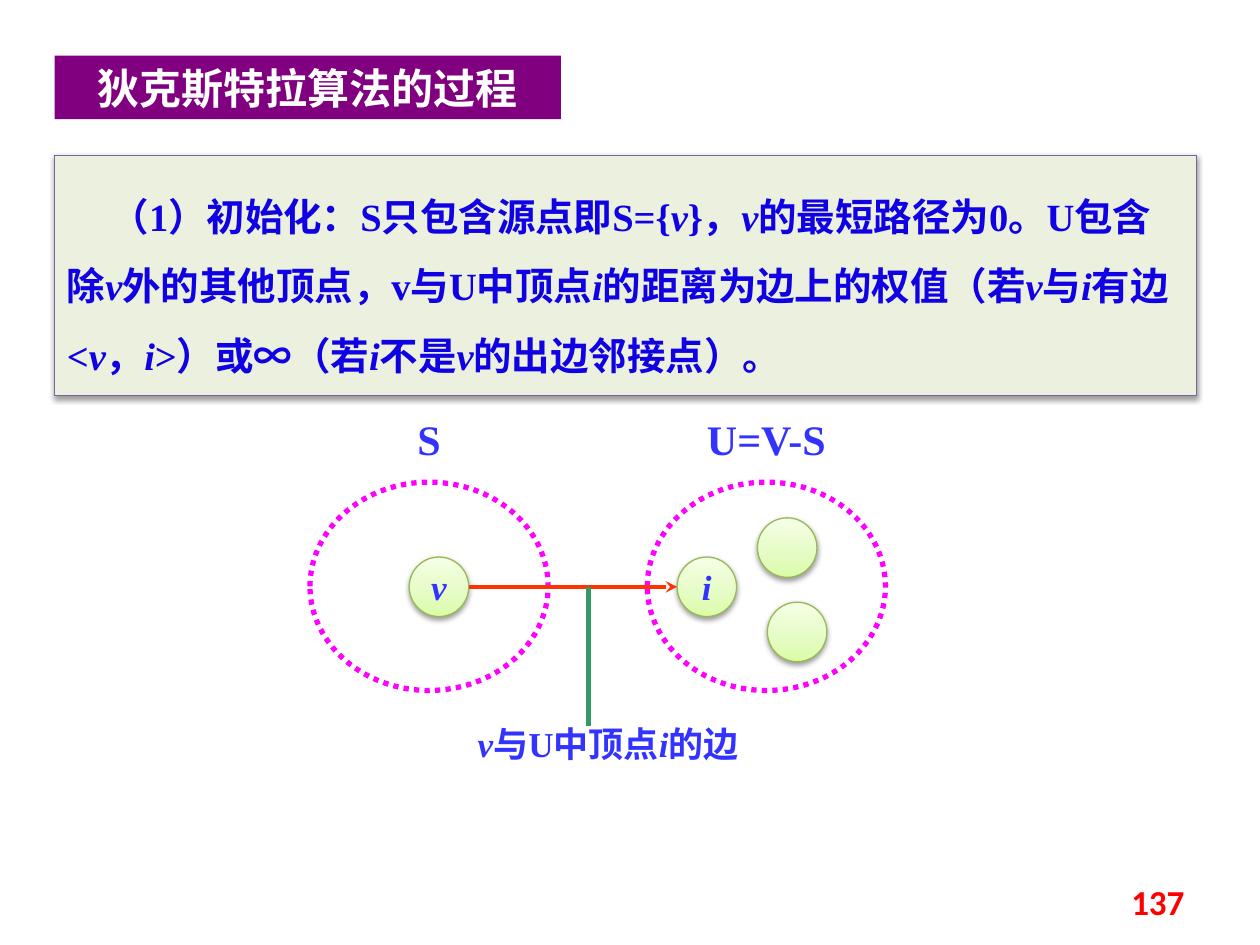
from copy import deepcopy

from lxml.etree import SubElement
from pptx import Presentation
from pptx.dml.color import RGBColor
from pptx.enum.dml import MSO_LINE
from pptx.enum.shapes import MSO_CONNECTOR, MSO_SHAPE
from pptx.enum.text import MSO_ANCHOR, PP_ALIGN
from pptx.oxml.ns import qn
from pptx.util import Cm, Pt

WHITE = RGBColor(0xFF, 0xFF, 0xFF)
PURPLE = RGBColor(0x80, 0x00, 0x80)
PANEL = RGBColor(0xEB, 0xF1, 0xDE)
PANEL_EDGE = RGBColor(0x7D, 0x60, 0xA0)
BODY_BLUE = RGBColor(0x10, 0x00, 0xE4)
LABEL_BLUE = RGBColor(0x33, 0x33, 0xFF)
MAGENTA = RGBColor(0xFF, 0x00, 0xFF)
NODE_EDGE = RGBColor(0x98, 0xB9, 0x55)
NODE_BOTTOM = RGBColor(0xDA, 0xFD, 0xA7)
NODE_MIDDLE = RGBColor(0xE4, 0xFC, 0xC2)
NODE_TOP = RGBColor(0xF5, 0xFF, 0xE7)
ORANGE = RGBColor(0xFF, 0x33, 0x00)
GREEN = RGBColor(0x33, 0x99, 0x66)
RED = RGBColor(0xFF, 0x00, 0x00)
SERIF, HAN, SANS = "Times New Roman", "Noto Sans CJK SC", "Calibri"

# Text between asterisks is italic.
TITLE = "狄克斯特拉算法的过程"
BODY = ("（1）初始化：S只包含源点即S={*v*}，*v*的最短路径为0。U包含除*v*外的其他顶点，"
        "v与U中顶点*i*的距离为边上的权值（若*v*与*i*有边<*v*，*i*>）或∞（若*i*不是*v*的出边邻接点）。")
EDGE_NOTE = "*v*与U中顶点*i*的边"
PAGE = "137"

# Lengths in cm
SET_W, SET_H, NODE_D = 4.8, 4.2, 1.2
EDGE_Y = 11.83
SETS = [("S", 8.65), ("U=V-S", 15.45)]  # name, centre x
SET_Y = 11.82
NODES = [("*v*", 8.85, EDGE_Y), ("*i*", 14.25, EDGE_Y),
         ("", 16.07, 12.74), ("", 15.87, 11.04)]  # label, centre


def write(shape, text, size, color, font=SERIF, align=PP_ALIGN.CENTER,
          anchor=MSO_ANCHOR.TOP, insets=(0.25, 0.13), wrap=True):
    """Fill a shape with one bold paragraph, italic between asterisks."""
    tf = shape.text_frame
    tf.word_wrap = wrap
    tf.vertical_anchor = anchor
    tf.margin_left = tf.margin_right = Cm(insets[0])
    tf.margin_top = tf.margin_bottom = Cm(insets[1])
    p = tf.paragraphs[0]
    p.alignment = align
    for n, part in enumerate(text.split("*")):
        if part:
            r = p.add_run()
            r.text = part
            f = r.font
            f.name, f.size, f.bold, f.italic = font, Pt(size), True, n % 2 == 1
            f.color.rgb = color
            SubElement(r._r.get_or_add_rPr(), qn("a:ea"), typeface=HAN)
    return p


def text_box(s, box, *args, **options):
    return write(s.shapes.add_textbox(*map(Cm, box)), *args, **options)


def add_shape(s, kind, box, edge, width):
    sp = s.shapes.add_shape(kind, *map(Cm, box))
    sp.shadow.inherit = False
    sp.line.color.rgb = edge
    sp.line.width = Pt(width)
    return sp


def add_oval(s, cx, cy, w, h, edge, width):
    return add_shape(s, MSO_SHAPE.OVAL, (cx - w / 2, cy - h / 2, w, h), edge, width)


def drop_shadow(sp):
    effects = sp._element.spPr.find(qn("a:effectLst"))
    shadow = SubElement(effects, qn("a:outerShdw"), blurRad=str(Pt(3.1)),
                        dist=str(Pt(1.6)), dir="5400000", rotWithShape="0")
    color = SubElement(shadow, qn("a:srgbClr"), val="000000")
    SubElement(color, qn("a:alpha"), val="38000")


def node_gradient(sp):
    """Three stops running from the bottom up."""
    sp.fill.gradient()
    sp.fill.gradient_angle = 90
    first = sp._element.spPr.find(".//" + qn("a:gs"))
    first.addnext(deepcopy(first))
    stops = [(0, NODE_BOTTOM), (0.35, NODE_MIDDLE), (1, NODE_TOP)]
    for stop, (position, color) in zip(sp.fill.gradient_stops, stops):
        stop.position = position
        stop.color.rgb = color


def add_line(s, ends, color, width):
    line = s.shapes.add_connector(MSO_CONNECTOR.STRAIGHT, *map(Cm, ends))
    line.line.color.rgb = color
    line.line.width = Pt(width)
    SubElement(line._element.spPr, qn("a:effectLst"))
    return line


def main():
    prs = Presentation()
    prs.slide_width, prs.slide_height = Cm(25.4), Cm(19.05)
    s = prs.slides.add_slide(prs.slide_layouts[5])

    title = s.shapes.title
    title.left, title.top, title.width, title.height = map(Cm, (1.1, 1.12, 10.21, 1.28))
    title.fill.solid()
    title.fill.fore_color.rgb = PURPLE
    write(title, TITLE, 24, WHITE, font=HAN)

    panel = add_shape(s, MSO_SHAPE.RECTANGLE, (1.1, 3.13, 23.02, 4.84), PANEL_EDGE, 0.75)
    panel.fill.solid()
    panel.fill.fore_color.rgb = PANEL
    drop_shadow(panel)
    p = write(panel, BODY, 22, BODY_BLUE, align=PP_ALIGN.LEFT, insets=(0.25, 0.3))
    p.line_spacing = 1.5
    p._p.get_or_add_pPr().set("indent", str(Cm(0.88)))

    for name, cx in SETS:
        ring = add_oval(s, cx, SET_Y, SET_W, SET_H, MAGENTA, 3)
        ring.fill.background()
        ring.line.dash_style = MSO_LINE.ROUND_DOT
        text_box(s, (cx - 1.4, 8.33, 2.8, 1.02), name, 24, LABEL_BLUE, insets=(0, 0))

    for label, cx, cy in NODES:
        node = add_oval(s, cx, cy, NODE_D, NODE_D, NODE_EDGE, 0.75)
        node_gradient(node)
        drop_shadow(node)
        if label:
            write(node, label, 20, LABEL_BLUE, anchor=MSO_ANCHOR.MIDDLE, wrap=False)

    text_box(s, (8.46, 14.43, 7.6, 1.09), EDGE_NOTE, 20, LABEL_BLUE)

    start, end = NODES[0][1] + NODE_D / 2, NODES[1][1] - NODE_D / 2
    arrow = add_line(s, (start, EDGE_Y, end, EDGE_Y), ORANGE, 2.25)
    SubElement(arrow.line._get_or_add_ln(), qn("a:tailEnd"), type="stealth")
    add_line(s, (11.86, EDGE_Y, 11.86, 14.63), GREEN, 3)

    text_box(s, (18.2, 17.66, 5.93, 1.01), PAGE, 20, RED, font=SANS,
             align=PP_ALIGN.RIGHT, anchor=MSO_ANCHOR.MIDDLE)
    prs.save("out.pptx")


if __name__ == "__main__":
    main()
